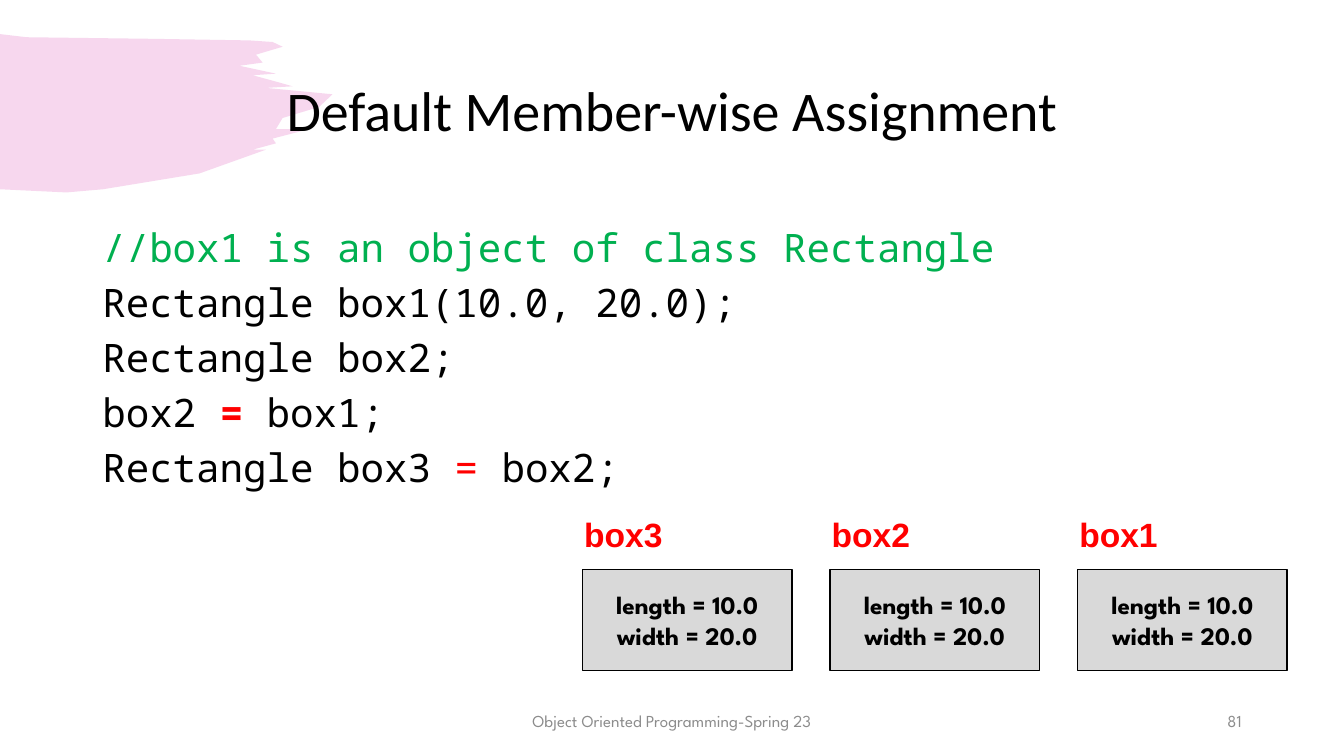
from lxml.etree import SubElement
from pptx import Presentation
from pptx.dml.color import RGBColor
from pptx.enum.shapes import MSO_SHAPE
from pptx.enum.text import MSO_ANCHOR as Anchor, PP_ALIGN as Align
from pptx.oxml.ns import qn
from pptx.util import Cm, Pt

COLORS = {
    "black": "000000", "comment": "00B050", "red": "FF0000",
    "footer": "8C8C8C", "box": "D9D9D9", "brush": "D739AE",
}
BODY_FONT = "League Spartan"
CODE = [
    [("//box1 is an object of class Rectangle", "comment", False)],
    [("Rectangle box1(10.0, 20.0);", "black", False)],
    [("Rectangle box2;", "black", False)],
    [("box2 ", "black", False), ("=", "red", True), (" box1;", "black", False)],
    [("Rectangle box3 ", "black", False), ("=", "red", False), (" box2;", "black", False)],
]
# Corners of the brush stroke, in hundredths of its width and height.
BRUSH_OUTLINE = [
    (0, 0), (8, 2), (46, 3), (75, 4), (82, 5), (85, 8), (77, 13), (79, 18), (72, 20),
    (83, 25), (76, 26), (83, 30), (88, 33), (80, 34), (100, 38), (96, 46), (85, 53),
    (83, 60), (93, 60), (82, 66), (83, 69), (76, 73), (80, 73), (60, 88), (31, 98),
    (20, 100), (0, 98),
]


def color(name):
    return RGBColor.from_string(COLORS[name])


def set_font(font, name, size, color_name, bold=False):
    font.name, font.size, font.bold = name, Pt(size), bold
    font.color.rgb = color(color_name)


def add_text(slide, box, text, font, align=Align.LEFT, anchor=Anchor.MIDDLE, wrap=True):
    """Add a one-paragraph text box; font holds the arguments of set_font."""
    frame = slide.shapes.add_textbox(*map(Cm, box)).text_frame
    frame.word_wrap, frame.vertical_anchor = wrap, anchor
    paragraph = frame.paragraphs[0]
    paragraph.text, paragraph.alignment = text, align
    set_font(paragraph.font, *font)
    return paragraph


def add_brush(slide, box):
    left, top, width, height = map(Cm, box)
    points = [(left + width * x // 100, top + height * y // 100) for x, y in BRUSH_OUTLINE]
    builder = slide.shapes.build_freeform(*points[0])
    builder.add_line_segments(points[1:])
    brush = builder.convert_to_shape()
    brush.shadow.inherit = False
    brush.line.fill.background()
    brush.fill.solid()
    brush.fill.fore_color.rgb = color("brush")
    fill_color = brush._element.spPr.find(qn("a:solidFill"))[0]
    SubElement(fill_color, qn("a:alpha"), val="20000")


def add_code(slide, box):
    frame = slide.shapes.add_textbox(*map(Cm, box)).text_frame
    frame.word_wrap = True
    for index, line in enumerate(CODE):
        paragraph = frame.add_paragraph() if index else frame.paragraphs[0]
        paragraph.alignment = Align.JUSTIFY
        paragraph.line_spacing = 0.95
        paragraph.space_before = Pt(7.4 if index else 0)
        for text, color_name, bold in line:
            run = paragraph.add_run()
            run.text = text
            set_font(run.font, "Noto Sans Mono", 28, color_name, bold)


def add_object(slide, name, left, top):
    """Draw one Rectangle object: its name above a box with its members."""
    box = slide.shapes.add_shape(
        MSO_SHAPE.RECTANGLE, Cm(left), Cm(top + 1.52), Cm(5.28), Cm(2.54))
    box.shadow.inherit = False
    box.fill.solid()
    box.fill.fore_color.rgb = color("box")
    box.line.color.rgb = color("black")
    box.line.width = Pt(1)
    frame = box.text_frame
    frame.vertical_anchor = Anchor.MIDDLE
    frame.text = "length = 10.0\nwidth = 20.0"
    for paragraph in frame.paragraphs:
        paragraph.alignment = Align.CENTER
        set_font(paragraph.font, BODY_FONT, 18, "black", True)
    add_text(slide, (left - 0.21, top, 2.51, 1.3), name,
             ("Arial", 24, "red", True), anchor=Anchor.TOP, wrap=False)


def add_footer(slide, top):
    font = (BODY_FONT, 12, "footer")
    add_text(slide, (11.22, top, 11.43, 1.02), "Object Oriented Programming-Spring 23",
             font, Align.CENTER)
    add_text(slide, (23.92, top, 7.62, 1.02), "81", font, Align.RIGHT)


def main():
    presentation = Presentation()
    presentation.slide_width, presentation.slide_height = Cm(33.87), Cm(19.05)
    slide = presentation.slides.add_slide(presentation.slide_layouts[6])
    add_brush(slide, (0, 0.86, 8.38, 3.99))
    title = add_text(slide, (2.33, 1.01, 29.21, 3.68), "Default Member-wise Assignment",
                     ("Calibri", 40, "black"), Align.CENTER)
    title.line_spacing = 0.9
    add_code(slide, (2.33, 5.59, 29.21, 11.56))
    for index, name in enumerate(("box3", "box2", "box1")):
        add_object(slide, name, 14.68 + index * 6.24, 12.83)
    add_footer(slide, 17.65)
    presentation.save("out.pptx")


if __name__ == "__main__":
    main()
